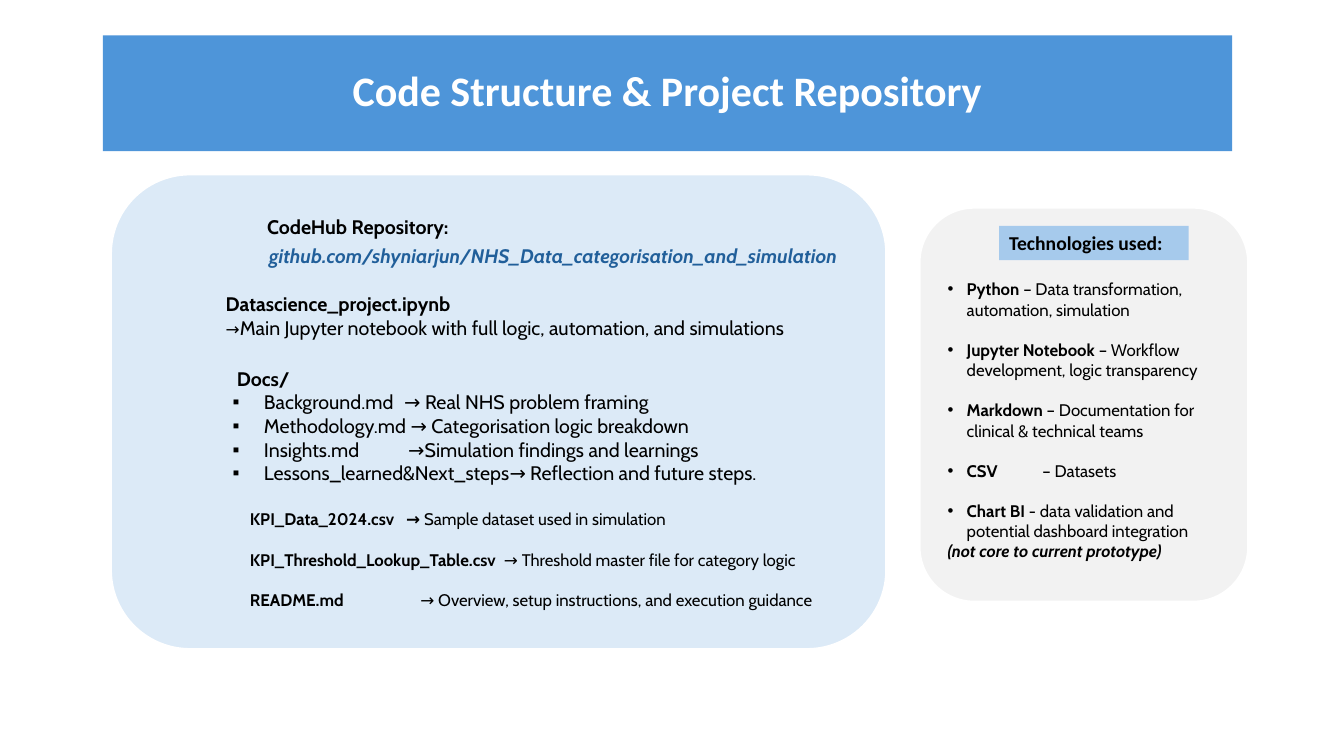
from lxml import etree
from pptx import Presentation
from pptx.dml.color import RGBColor
from pptx.enum.shapes import MSO_SHAPE
from pptx.enum.text import MSO_ANCHOR, PP_ALIGN
from pptx.oxml.ns import qn
from pptx.util import Inches, Pt

RECT = MSO_SHAPE.RECTANGLE
ROUND = MSO_SHAPE.ROUNDED_RECTANGLE
TOP, MIDDLE = MSO_ANCHOR.TOP, MSO_ANCHOR.MIDDLE
LEFT, CENTER = PP_ALIGN.LEFT, PP_ALIGN.CENTER

COLORS = {
    "title": "4E95D9",
    "repo": "DCEAF7",
    "tech": "F2F2F2",
    "heading": "A6CAEC",
    "link": "215F9A",
    "white": "FFFFFF",
    "black": "000000",
}

DOCS = [
    ("Background.md\t→ Real NHS problem framing", 1.7),
    ("Methodology.md → Categorisation logic breakdown", None),
    ("Insights.md\t→Simulation findings and learnings", 1.74),
    ("Lessons_learned&Next_steps→ Reflection and future steps.", None),
]
FILES = [
    ("KPI_Data_2024.csv\t→ ", "Sample dataset used in simulation", 1.55),
    ("KPI_Threshold_Lookup_Table.csv\t", "→ Threshold master file for category logic", 2.52),
    ("README.md\t", "→ Overview, setup instructions, and execution guidance", 1.69),
]
TECHNOLOGIES = [
    ("Python", " – Data transformation, automation, simulation", None),
    ("Jupyter Notebook", " – Workflow development, logic transparency", None),
    ("Markdown", " – Documentation for clinical & technical teams", None),
    ("CSV", "\t– Datasets", 0.94),
    ("Chart BI", " - data validation and potential dashboard integration", None),
]


def rgb(name):
    return RGBColor.from_string(COLORS[name])


def add_panel(s, kind, x, y, w, h, fill, line=None):
    sp = s.shapes.add_shape(kind, Inches(x), Inches(y), Inches(w), Inches(h))
    sp.shadow.inherit = False
    sp.fill.solid()
    sp.fill.fore_color.rgb = rgb(fill)
    if line:
        sp.line.color.rgb = rgb(line)
        sp.line.width = Pt(1.5)
    else:
        sp.line.fill.background()
    return sp


def add_box(s, x, y, w, h):
    return s.shapes.add_textbox(Inches(x), Inches(y), Inches(w), Inches(h))


def format_paragraph(p, indent=0, bullet=None, tab=None):
    pPr = p._p.get_or_add_pPr()
    if indent:
        pPr.set("marL", str(Inches(indent)))
    if bullet:
        pPr.set("indent", str(-Inches(indent)))
        etree.SubElement(pPr, qn("a:buFont")).set("typeface", "Arial")
        etree.SubElement(pPr, qn("a:buChar")).set("char", bullet)
    if tab:
        tabs = etree.SubElement(pPr, qn("a:tabLst"))
        etree.SubElement(tabs, qn("a:tab"), pos=str(Inches(tab)), algn="l")


def write(sp, paragraphs, size=14, font="Cabin", color="black", italic=False,
          gap=0, align=LEFT, anchor=TOP, spacing=None):
    tf = sp.text_frame
    tf.word_wrap = True
    tf.vertical_anchor = anchor
    for i, (runs, layout) in enumerate(paragraphs):
        p = tf.paragraphs[0] if i == 0 else tf.add_paragraph()
        format_paragraph(p, **layout)
        p.alignment = align
        if spacing:
            p.line_spacing = spacing
        if gap and i:
            p.space_before = Pt(gap)
        for text, style in runs:
            r = p.add_run()
            r.text = text
            r.font.name = font
            r.font.size = Pt(style.get("size", size))
            r.font.bold = style.get("bold", False)
            r.font.italic = style.get("italic", italic)
            r.font.color.rgb = rgb(color)
    return tf


def bold(text, **style):
    return text, {"bold": True, **style}


def plain(text, **style):
    return text, style


def add_repository(s):
    add_panel(s, ROUND, 1.1, 1.73, 7.69, 4.71, "repo", "white")
    write(add_box(s, 2.55, 2.08, 2.52, 0.34), [([bold("CodeHub Repository:")], {})])
    write(add_box(s, 2.57, 2.37, 6.93, 0.34),
          [([bold("github.com/shyniarjun/NHS_Data_categorisation_and_simulation")], {})],
          color="link", italic=True)
    write(add_box(s, 2.14, 2.85, 6.15, 0.57), [
        ([bold("Datascience_project.ipynb")], {}),
        ([plain("→", size=12),
          plain("Main Jupyter notebook with full logic, automation, and simulations")], {}),
    ])
    docs = [([plain(text)], {"indent": 0.31, "bullet": "▪", "tab": tab}) for text, tab in DOCS]
    write(add_box(s, 2.21, 3.59, 6.15, 1.51), [([bold("Docs/")], {"indent": 0.04})] + docs)
    files = [([bold(name), plain(text)], {"tab": tab}) for name, text, tab in FILES]
    write(add_box(s, 2.38, 5, 6.67, 1.11), files, size=12, gap=14.4)


def add_technologies(s):
    add_panel(s, ROUND, 9.12, 2.06, 3.26, 3.91, "tech", "white")
    heading = add_panel(s, RECT, 9.91, 2.24, 1.88, 0.34, "heading")
    write(heading, [([bold("Technologies used:")], {})], font="Calibri")
    items = [([bold(name), plain(text)], {"indent": 0.19, "bullet": "•", "tab": tab})
             for name, text, tab in TECHNOLOGIES]
    note = ([bold("(not core to current prototype)", italic=True)], {})
    tf = write(add_box(s, 9.3, 2.72, 2.94, 2.93), items + [note], size=12, gap=14.4)
    tf.paragraphs[-1].space_before = Pt(0)


def main():
    prs = Presentation()
    prs.slide_width = Inches(13.33)
    prs.slide_height = Inches(7.5)
    s = prs.slides.add_slide(prs.slide_layouts[6])
    title = add_panel(s, RECT, 1.02, 0.35, 11.2, 1.15, "title")
    write(title, [([bold("Code Structure & Project Repository")], {})], size=30,
          font="Calibri", color="white", align=CENTER, anchor=MIDDLE, spacing=0.9)
    add_repository(s)
    add_technologies(s)
    prs.save("out.pptx")


if __name__ == "__main__":
    main()
